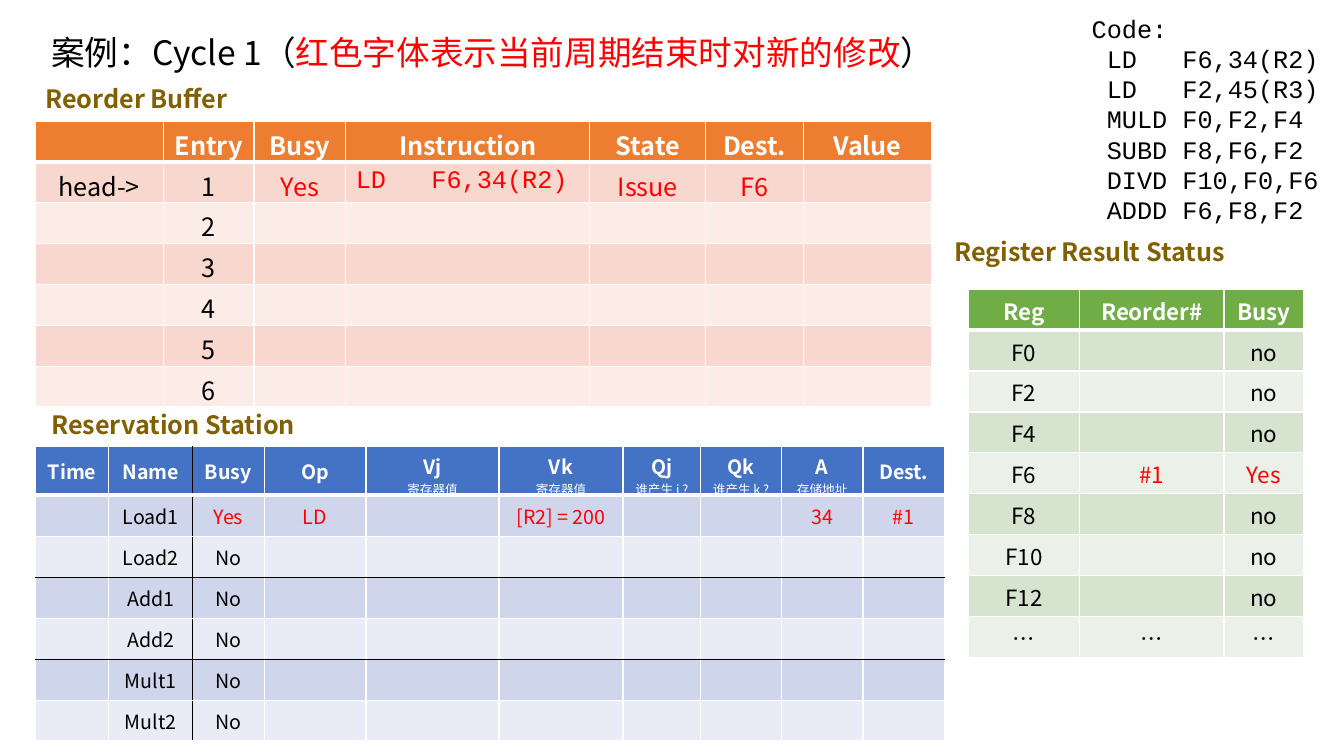
from lxml import etree
from pptx import Presentation
from pptx import util as u
from pptx.dml.color import RGBColor
from pptx.enum import text as t
from pptx.oxml import ns

SANS = "Noto Sans CJK SC"
MONO = "Courier New"
BLACK = RGBColor(0x00, 0x00, 0x00)
WHITE = RGBColor(0xFF, 0xFF, 0xFF)
RED = RGBColor(0xFF, 0x00, 0x00)
OLIVE = RGBColor(0x80, 0x60, 0x00)
ORANGE_ROWS = (RGBColor(0xED, 0x7D, 0x31), RGBColor(0xF8, 0xD7, 0xCE), RGBColor(0xFC, 0xEC, 0xE8))
BLUE_ROWS = (RGBColor(0x44, 0x72, 0xC4), RGBColor(0xCF, 0xD5, 0xEA), RGBColor(0xE9, 0xEB, 0xF5))
GREEN_ROWS = (RGBColor(0x70, 0xAD, 0x47), RGBColor(0xD5, 0xE3, 0xCF), RGBColor(0xEB, 0xF1, 0xE9))

CODE = [
    "Code:",
    " LD   F6,34(R2)",
    " LD   F2,45(R3)",
    " MULD F0,F2,F4",
    " SUBD F8,F6,F2",
    " DIVD F10,F0,F6",
    " ADDD F6,F8,F2",
]
REORDER_BUFFER = [
    ["", "Entry", "Busy", "Instruction", "State", "Dest.", "Value"],
    ["head->", "1", "Yes", "LD   F6,34(R2)", "Issue", "F6", ""],
] + [["", str(entry)] + [""] * 5 for entry in range(2, 7)]
RESERVATION_STATION = [
    ["Time", "Name", "Busy", "Op", "Vj\n寄存器值", "Vk\n寄存器值",
     "Qj\n谁产生 j ?", "Qk\n谁产生 k ?", "A\n存储地址", "Dest."],
    ["", "Load1", "Yes", "LD", "", "[R2] = 200", "", "", "34", "#1"],
] + [["", unit, "No"] + [""] * 7 for unit in ("Load2", "Add1", "Add2", "Mult1", "Mult2")]
REGISTER_STATUS = [["Reg", "Reorder#", "Busy"]] + [
    [register, "", "no"] for register in ("F0", "F2", "F4", "F6", "F8", "F10", "F12")
] + [["…"] * 3]
REGISTER_STATUS[4][1:] = ["#1", "Yes"]


def add_text(paragraph, wording, size=18, color=BLACK, bold=False, font=SANS, align=None):
    """Append a formatted run to a paragraph."""
    run = paragraph.add_run()
    run.text = wording
    run.font.size = u.Pt(size)
    run.font.bold = bold
    run.font.color.rgb = color
    run.font.name = font
    east_asian = etree.SubElement(run.font._element, ns.qn("a:ea"))
    east_asian.set("typeface", font)
    if align is not None:
        paragraph.alignment = align


def add_title(slide, parts):
    """Fill the title placeholder with coloured parts."""
    title = slide.shapes.title
    title.left, title.top, title.width, title.height = map(u.Inches, (0.41, 0.2, 11.5, 0.68))
    frame = title.text_frame
    frame.auto_size = t.MSO_AUTO_SIZE.NONE
    frame.vertical_anchor = t.MSO_ANCHOR.MIDDLE
    frame.paragraphs[0].line_spacing = 0.9
    for wording, color in parts:
        add_text(frame.paragraphs[0], wording, size=24, color=color, align=t.PP_ALIGN.LEFT)


def add_text_box(slide, box, lines, **style):
    """Add an unwrapped text box with one paragraph per line."""
    frame = slide.shapes.add_textbox(*map(u.Inches, box)).text_frame
    frame.word_wrap = False
    frame.auto_size = t.MSO_AUTO_SIZE.SHAPE_TO_FIT_TEXT
    for index, line in enumerate(lines):
        paragraph = frame.add_paragraph() if index else frame.paragraphs[0]
        add_text(paragraph, line, **style)


def set_borders(cell, borders):
    """Draw cell borders given as side: (colour, points)."""
    properties = cell._tc.get_or_add_tcPr()
    for index, side in enumerate("LRTB"):
        color, points = borders.get(side, (WHITE, 1))
        line = etree.Element(ns.qn(f"a:ln{side}"), w=str(u.Pt(points)))
        fill = etree.SubElement(line, ns.qn("a:solidFill"))
        etree.SubElement(fill, ns.qn("a:srgbClr"), val=str(color))
        properties.insert(index, line)


def cell_borders(row, column, rules_below, rule_after):
    """Work out which sides of a cell differ from the thin white grid."""
    borders = {}
    if row == 0:
        borders["B"] = (WHITE, 3)
    elif row == 1:
        borders["T"] = (WHITE, 3)
    if row in rules_below:
        borders["B"] = (BLACK, 1)
    if row - 1 in rules_below:
        borders["T"] = (BLACK, 1)
    if column == rule_after:
        borders["R"] = (BLACK, 1)
    if column - 1 == rule_after:
        borders["L"] = (BLACK, 1)
    return borders


def fill_cell(cell, wording, size, color, header):
    """Write a cell's heading or value, with any smaller second line."""
    for index, line in enumerate(wording.split("\n")):
        frame = cell.text_frame
        paragraph = frame.add_paragraph() if index else frame.paragraphs[0]
        is_instruction = line.startswith("LD ")
        add_text(paragraph, line, size=9 if index else size, color=color,
                 bold=header and not index, font=MONO if is_instruction else SANS,
                 align=t.PP_ALIGN.LEFT if is_instruction else t.PP_ALIGN.CENTER)


def add_status_table(slide, box, widths, rows, palette, size, changed, header_height=None,
                     anchor=t.MSO_ANCHOR.MIDDLE, rules_below=(), rule_after=None):
    """Add a banded table; changed is the row and first column shown in red."""
    frame = slide.shapes.add_table(len(rows), len(widths), *map(u.Inches, box))
    table = frame.table
    height = box[3]
    header_height = header_height or height / len(rows)
    for column, width in zip(table.columns, widths):
        column.width = u.Inches(width)
    for r, values in enumerate(rows):
        body_height = (height - header_height) / (len(rows) - 1)
        table.rows[r].height = u.Inches(body_height if r else header_height)
        for c, wording in enumerate(values):
            cell = table.cell(r, c)
            cell.vertical_anchor = anchor
            cell.fill.solid()
            cell.fill.fore_color.rgb = palette[0 if r == 0 else 2 - r % 2]
            set_borders(cell, cell_borders(r, c, rules_below, rule_after))
            if wording:
                is_new = r == changed[0] and c >= changed[1]
                color = WHITE if r == 0 else RED if is_new else BLACK
                fill_cell(cell, wording, size, color, r == 0)


def main():
    """Build the Cycle 1 slide."""
    deck = Presentation()
    deck.slide_width, deck.slide_height = u.Inches(13.33), u.Inches(7.5)
    slide = deck.slides.add_slide(deck.slide_layouts[5])
    add_title(slide, [("案例：Cycle 1（", BLACK),
                      ("红色字体表示当前周期结束时对新的修改", RED), ("）", BLACK)])
    for heading, box in (("Reorder Buffer", (0.35, 0.78, 2.08, 0.4)),
                         ("Reservation Station", (0.41, 4.01, 2.69, 0.4)),
                         ("Register Result Status", (9.37, 2.3, 2.97, 0.4))):
        add_text_box(slide, box, [heading], color=OLIVE, bold=True)
    add_status_table(slide, (0.35, 4.43, 9.02, 2.92),
                     (0.73, 0.83, 0.71, 1.01, 1.32, 1.23, 0.77, 0.8, 0.81, 0.81),
                     RESERVATION_STATION, BLUE_ROWS, size=14, changed=(1, 2),
                     header_height=0.48, rules_below=(2, 4), rule_after=1)
    add_status_table(slide, (9.6, 2.87, 3.32, 3.65), (1.11, 1.43, 0.79), REGISTER_STATUS,
                     GREEN_ROWS, size=16, changed=(4, 1), anchor=t.MSO_ANCHOR.TOP)
    add_text_box(slide, (10.73, 0.08, 2.46, 2.22), CODE, font=MONO)
    add_status_table(slide, (0.35, 1.2, 8.89, 2.84), (1.27, 0.9, 0.91, 2.42, 1.15, 0.97, 1.27),
                     REORDER_BUFFER, ORANGE_ROWS, size=18, changed=(1, 2))
    deck.save("out.pptx")


if __name__ == "__main__":
    main()
